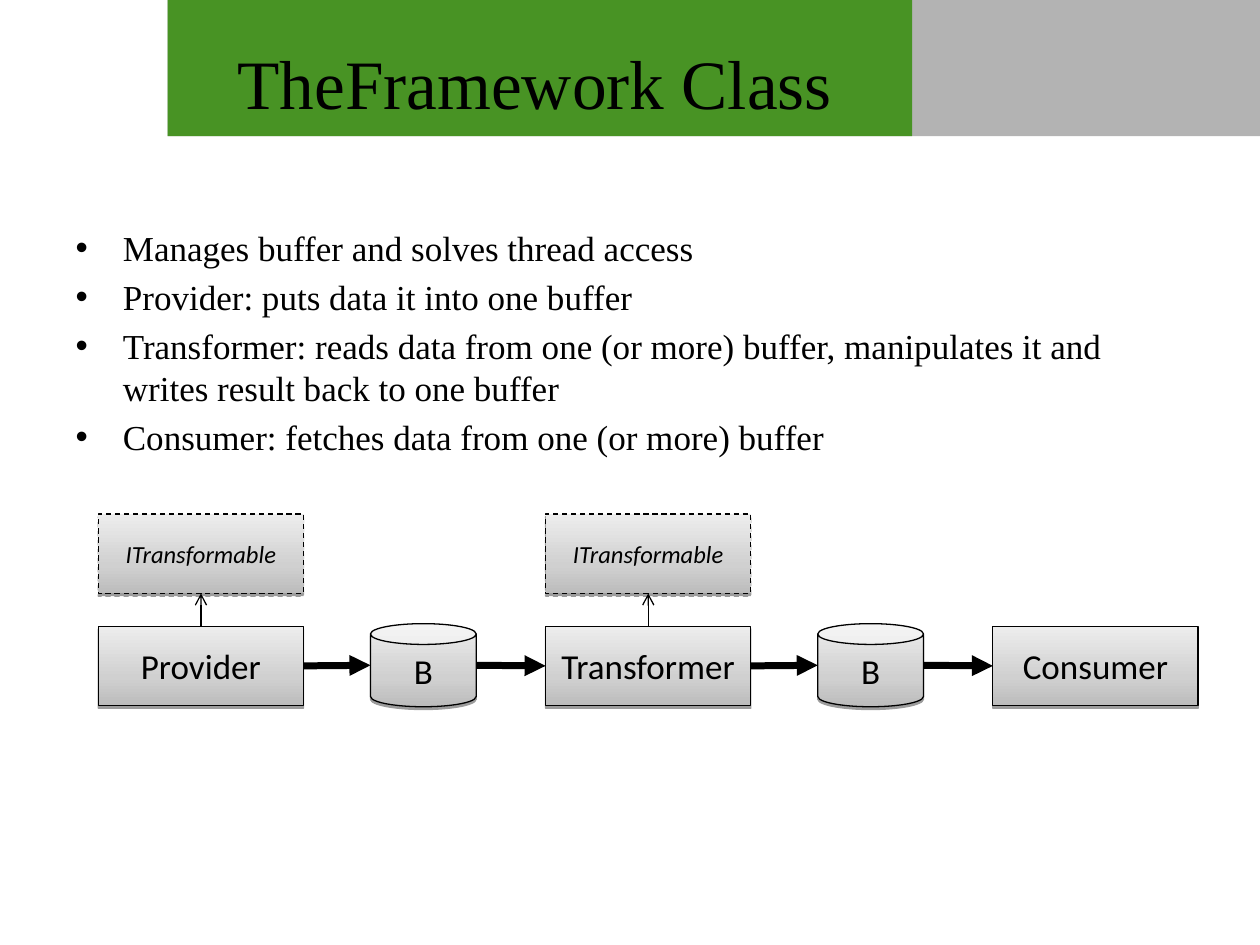
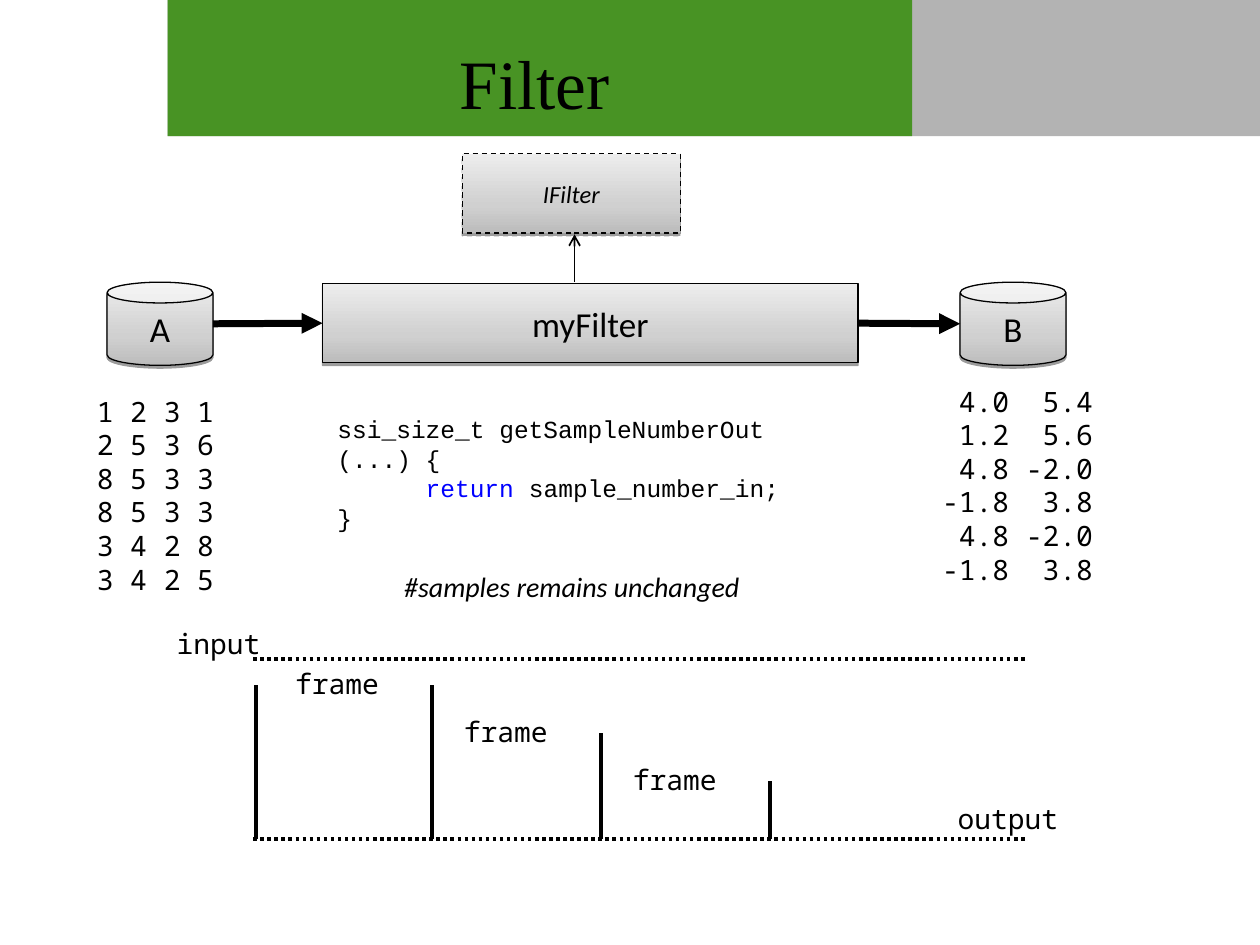
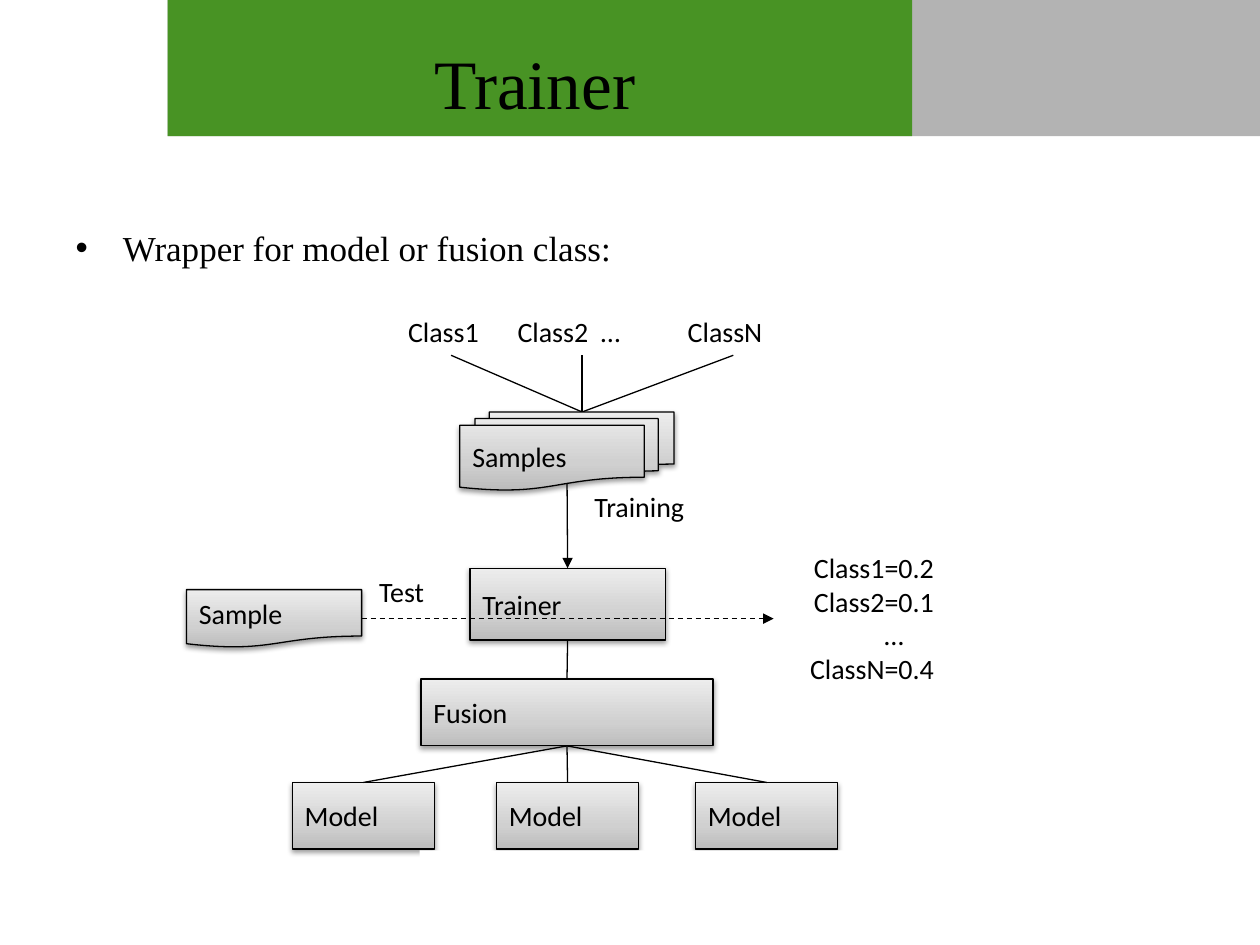
from lxml import etree
from pptx import Presentation, util as u
from pptx.dml.color import RGBColor
from pptx.enum import dml, shapes, text
from pptx.oxml import parse_xml
from pptx.oxml.ns import nsdecls, qn

COLOURS = {"ink": "000000", "paper": "FFFFFF", "green": "489324", "grey": "B3B3B3",
           "keyword": "0000FF", "low": "BCBCBC", "middle": "D0D0D0", "high": "EDEDED"}
SERIF, SANS, CODE, MONO = "Times New Roman", "Calibri", "Courier New", "Noto Sans Mono"
WIDTH, HEIGHT = 10, 7.5
BAND_LEFT, BAND_HEIGHT = 1.33, 1.08
BANDS = [("grey", WIDTH - BAND_LEFT), ("green", 5.91)]
TITLE_AREA = (BAND_LEFT, 0.3, 5.83, 0.7)
BODY_AREA = (0.5, 1.75, 9, 4.58)
TOP, LEFT, BOTTOM, RIGHT = range(4)
RECT = shapes.MSO_SHAPE.RECTANGLE
CAN = shapes.MSO_SHAPE.CAN
CENTRE, RIGHT_ALIGN = text.PP_ALIGN.CENTER, text.PP_ALIGN.RIGHT
DASH, DOT = dml.MSO_LINE.DASH, dml.MSO_LINE.ROUND_DOT

FRAMEWORK_POINTS = [
    "Manages buffer and solves thread access",
    "Provider: puts data it into one buffer",
    "Transformer: reads data from one (or more) buffer, manipulates it and "
    "writes result back to one buffer",
    "Consumer: fetches data from one (or more) buffer",
]
PIPELINE = [("Provider", True), ("Transformer", True), ("Consumer", False)]
INPUT_ROWS = [(1, 2, 3, 1), (2, 5, 3, 6), (8, 5, 3, 3), (8, 5, 3, 3), (3, 4, 2, 8), (3, 4, 2, 5)]
OUTPUT_ROWS = [(4.0, 5.4), (1.2, 5.6), (4.8, -2.0), (-1.8, 3.8), (4.8, -2.0), (-1.8, 3.8)]
FILTER_CODE = [
    "ssi_size_t getSampleNumberOut (...) {",
    ([("return ", "keyword"), ("sample_number_in;", "ink")], 0.7),
    "}",
]
CLASS_LABELS = [("Class1", 3.14, 0.89, 3.58), ("Class2  …", 4.01, 1.24, 4.62),
                ("ClassN", 5.36, 0.92, 5.82)]
SCORES = ["Class1=0.2", "Class2=0.1", ([("…", "ink")], 0.78), "ClassN=0.4"]
MODEL_LEFTS = [2.32, 3.94, 5.52]


def rgb(name):
    return RGBColor.from_string(COLOURS[name])


def inches(values):
    return [u.Inches(value) for value in values]


def write(frame, lines, font=SANS, size=16, italic=None, align=None, wrap=True, anchor=None):
    frame.word_wrap = wrap
    if anchor is not None:
        frame.vertical_anchor = anchor
    for index, line in enumerate(lines):
        spans, indent = ([(line, "ink")], 0) if isinstance(line, str) else line
        para = frame.paragraphs[0] if index == 0 else frame.add_paragraph()
        if indent:
            para._p.get_or_add_pPr().set("marL", str(u.Inches(indent)))
            para.alignment = text.PP_ALIGN.LEFT
        elif align is not None:
            para.alignment = align
        for words, colour in spans:
            span = para.add_run()
            span.text = words
            span.font.name = font
            span.font.size = u.Pt(size)
            span.font.italic = italic
            span.font.color.rgb = rgb(colour)


def label(page, area, lines, **style):
    box = page.shapes.add_textbox(*inches(area))
    box.text_frame.auto_size = text.MSO_AUTO_SIZE.SHAPE_TO_FIT_TEXT
    write(box.text_frame, lines, **style)


def flat(page, area, colour):
    box = page.shapes.add_shape(RECT, *inches(area))
    box.shadow.inherit = False
    box.fill.solid()
    box.fill.fore_color.rgb = rgb(colour)
    box.line.fill.background()
    return box


def node(page, area, words, kind=RECT, dash=None, blur=0, **style):
    box = page.shapes.add_shape(kind, *inches(area))
    box.shadow.inherit = False
    box.line.color.rgb = rgb("ink")
    box.line.width = u.Pt(0.75)
    if dash:
        box.line.dash_style = dash
    box.fill.gradient()
    box.fill.gradient_angle = 90
    stops = box.element.spPr.find(".//" + qn("a:gsLst"))
    for stop in list(stops):
        stops.remove(stop)
    for share, name in [(0, "low"), (35, "middle"), (100, "high")]:
        stop = etree.SubElement(stops, qn("a:gs"), pos=str(share * 1000))
        etree.SubElement(stop, qn("a:srgbClr"), val=COLOURS[name])
    box.element.spPr.find(qn("a:effectLst")).append(parse_xml(
        f'<a:outerShdw {nsdecls("a")} blurRad="{u.Pt(blur)}" dist="{u.Pt(1.6)}" dir="5400000" '
        f'rotWithShape="0"><a:srgbClr val="{COLOURS["ink"]}"><a:alpha val="38000"/>'
        '</a:srgbClr></a:outerShdw>'))
    write(box.text_frame, [words], anchor=text.MSO_ANCHOR.MIDDLE, **style)
    return box


def stage(page, area, words, **style):
    return node(page, area, words, **{"size": 20, "align": CENTRE, "wrap": False, **style})


def interface(page, area, words):
    return stage(page, area, words, dash=DASH, size=14, italic=True)


def block(page, area, words, **style):
    return node(page, area, words, blur=3.1, align=text.PP_ALIGN.LEFT, **style)


def place(end):
    first, second = end
    if isinstance(first, (int, float)):
        return inches(end)
    across, down = [(0.5, 0), (0, 0.5), (0.5, 1), (1, 0.5)][second]
    return [int(first.left + across * first.width), int(first.top + down * first.height)]


def connect(page, begin, end, width=0.75, dash=None, head=None):
    line = page.shapes.add_connector(shapes.MSO_CONNECTOR.STRAIGHT, *place(begin), *place(end))
    for (target, side), join in [(begin, line.begin_connect), (end, line.end_connect)]:
        if not isinstance(target, (int, float)) and target.auto_shape_type == RECT:
            join(target, side)
    line.line.color.rgb = rgb("ink")
    line.line.width = u.Pt(width)
    if dash:
        line.line.dash_style = dash
    if head:
        etree.SubElement(line.line._get_or_add_ln(), qn("a:tailEnd"), type=head)
    etree.SubElement(line.element.spPr, qn("a:effectLst"))


def flow(page, begin, end):
    connect(page, (begin, RIGHT), (end, LEFT), width=4, head="triangle")


def fill_placeholder(holder, area, lines, **style):
    holder.left, holder.top, holder.width, holder.height = inches(area)
    holder.text_frame.auto_size = text.MSO_AUTO_SIZE.NONE
    write(holder.text_frame, lines, font=SERIF, **style)


def add_page(deck, title, points=None):
    page = deck.slides.add_slide(deck.slide_layouts[1 if points else 5])
    fill_placeholder(page.shapes.title, TITLE_AREA, [title], size=39.6, align=CENTRE,
                     anchor=text.MSO_ANCHOR.MIDDLE)
    if points:
        fill_placeholder(page.placeholders[1], BODY_AREA, points, size=20)
    return page


def put_bands_on_master(deck, page):
    tree = deck.slide_master.shapes.element
    for index, (colour, width) in enumerate(BANDS):
        band = flat(page, (BAND_LEFT, 0, width, BAND_HEIGHT), colour)
        tree.insert(2 + index, band.element)


def draw_framework(page):
    left, top, width, height, pitch = 0.78, 4.97, 1.63, 0.63, 3.55
    previous = None
    for index, (name, has_interface) in enumerate(PIPELINE):
        x = left + index * pitch
        box = stage(page, (x, top, width, height), name)
        if previous:
            buffer = stage(page, (x - 1.39, top - 0.02, 0.84, 0.66), "B", kind=CAN)
            flow(page, previous, buffer)
            flow(page, buffer, box)
        if has_interface:
            parent = interface(page, (x, 4.08, width, height), "ITransformable")
            connect(page, (box, TOP), (parent, BOTTOM), head="arrow")
        previous = box


def draw_filter(page):
    source, sink = [stage(page, (x, 2.24, 0.84, 0.66), name, kind=CAN)
                    for name, x in [("A", 0.85), ("B", 7.62)]]
    box = stage(page, (2.56, 2.25, 4.25, 0.63), "myFilter")
    flow(page, source, box)
    flow(page, box, sink)
    interface(page, (3.67, 1.22, 1.73, 0.63), "IFilter")
    connect(page, (4.56, 2.24), (4.56, 1.86), width=1, head="arrow")
    label(page, (2.58, 3.24, 4.22, 1.28), FILTER_CODE, font=CODE, size=14)
    label(page, (3.11, 4.47, 3.16, 0.37), ["#samples remains unchanged"], italic=True, wrap=False)
    label(page, (7.38, 3, 1.64, 1.7), [f"{a:4.1f} {b:4.1f}" for a, b in OUTPUT_ROWS], font=MONO)
    label(page, (0.67, 3.08, 1.24, 1.7), [" ".join(map(str, row)) for row in INPUT_ROWS],
          font=MONO)


def draw_frames(page):
    floor, step, drop = 6.66, 1.34, 0.38
    for y in (5.23, floor):
        connect(page, (2.01, y), (8.15, y), width=2, dash=DOT)
    names = [("input", 1.3, 4.92, 0.87), ("output", 7.5, 6.31, 1)]
    bars = [(2.03, 5.44)]
    for index in range(3):
        names.append(("frame", 2.24 + index * step, 5.24 + index * drop, 0.87))
        bars.append((3.43 + index * step, 5.44 + index * drop))
    for name, x, y, width in names:
        label(page, (x, y, width, 0.32), [name], font=MONO, align=CENTRE, wrap=False)
    for x, y in bars:
        connect(page, (x, y), (x, floor), width=2)


def draw_trainer(page):
    fusion = block(page, (3.34, 5.39, 2.32, 0.53), "Fusion")
    trainer = block(page, (3.73, 4.51, 1.55, 0.57), "Trainer")
    connect(page, (4.5, 3.76), (trainer, TOP), head="triangle")
    connect(page, (trainer, BOTTOM), (fusion, TOP))
    for x in MODEL_LEFTS:
        model = block(page, (x, 6.21, 1.13, 0.53), "Model")
        connect(page, (fusion, BOTTOM), (model, TOP))
    for name, x, width, end in CLASS_LABELS:
        label(page, (x, 2.45, width, 0.37), [name], wrap=False)
        connect(page, (4.62, 3.27), (end, 2.82))
    block(page, (3.65, 3.27, 1.7, 0.62), "Samples", kind=shapes.MSO_SHAPE.FLOWCHART_MULTIDOCUMENT)
    sample = block(page, (1.48, 4.68, 1.39, 0.46), "Sample",
                   kind=shapes.MSO_SHAPE.FLOWCHART_DOCUMENT)
    connect(page, (sample, RIGHT), (6.14, 4.91), dash=DASH, head="triangle")
    label(page, (4.62, 3.84, 1, 0.37), ["Training"], wrap=False)
    label(page, (2.91, 4.51, 0.61, 0.37), ["Test"], wrap=False)
    label(page, (6.14, 4.32, 1.37, 1.18), SCORES, align=RIGHT_ALIGN)
    flat(page, (3.33, 6.75, 3.67, 0.67), "paper")


def main():
    deck = Presentation()
    deck.slide_width, deck.slide_height = inches((WIDTH, HEIGHT))
    framework = add_page(deck, "TheFramework Class", FRAMEWORK_POINTS)
    put_bands_on_master(deck, framework)
    draw_framework(framework)
    filter_page = add_page(deck, "Filter")
    draw_filter(filter_page)
    draw_frames(filter_page)
    draw_trainer(add_page(deck, "Trainer", ["Wrapper for model or fusion class:"]))
    deck.save("out.pptx")


if __name__ == "__main__":
    main()
